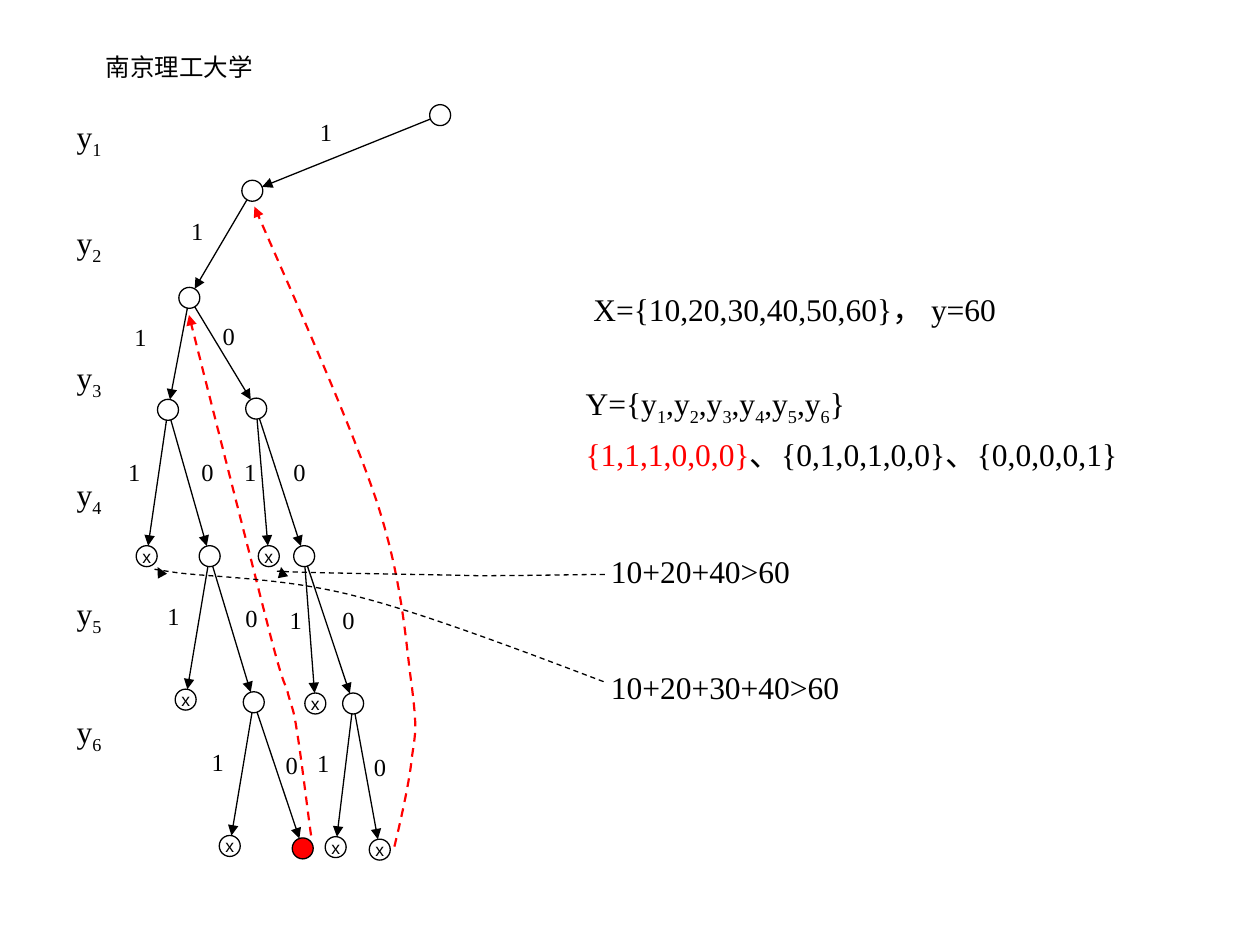
from math import hypot

from lxml import etree
from pptx import Presentation
from pptx.dml.color import RGBColor
from pptx.enum.dml import MSO_LINE
from pptx.enum.shapes import MSO_CONNECTOR, MSO_SHAPE
from pptx.enum.text import MSO_ANCHOR, MSO_AUTO_SIZE, PP_ALIGN
from pptx.oxml.ns import qn
from pptx.util import Pt

BLACK = RGBColor(0x00, 0x00, 0x00)
RED = RGBColor(0xFF, 0x00, 0x00)
CIRCLE = MSO_SHAPE.OVAL
STRAIGHT = MSO_CONNECTOR.STRAIGHT
DASH = MSO_LINE.DASH
MIDDLE = MSO_ANCHOR.MIDDLE
FIT_TEXT = MSO_AUTO_SIZE.SHAPE_TO_FIT_TEXT
CENTER = PP_ALIGN.CENTER

NODES = {
    "": (251.5, 65.8),
    "1": (144.2, 109),
    "11": (108.2, 170.2),
    "111": (96, 234.2),
    "110": (146.4, 233.5),
    "1111": (83.8, 317.8),
    "1110": (119.8, 317.8),
    "1101": (153.6, 317.8),
    "1100": (173.8, 317.8),
    "11101": (106.1, 399.8),
    "11100": (145, 401.3),
    "11001": (180.2, 402),
    "11000": (201.8, 402),
    "111001": (131.3, 483.4),
    "111000": (173, 484.8),
    "110001": (191.8, 484.1),
    "110000": (217, 485.5),
}
SOLUTION = "111000"
PRUNED = {"1111", "1101", "11101", "11001", "111001", "110001", "110000"}

BRANCH_LABELS = {
    "1": (175.7, 63.4),
    "11": (102.2, 120.2),
    "111": (69.8, 180.7),
    "110": (120.2, 180),
    "1111": (66.2, 257.8),
    "1110": (108, 257.8),
    "1101": (132.5, 257.8),
    "1100": (160.6, 257.8),
    "11101": (88.6, 339.8),
    "11100": (133.2, 341.3),
    "11001": (158.4, 342),
    "11000": (188.6, 342),
    "111001": (113.8, 423.4),
    "111000": (156.2, 424.8),
    "110001": (174.2, 424.1),
    "110000": (206.6, 426.2),
}
LEVEL_TOPS = [63.4, 123.8, 200.9, 267.8, 336.2, 403.2]

BACKTRACKS = [
    [(177.8, 477.4), (176.4, 468), (172.1, 432), (169.9, 419),
     (167.8, 405.4), (167.8, 407.5), (164.9, 397.4),
     (162.7, 388.1), (163.4, 397.4), (154.1, 361.4),
     (144.7, 324.7), (117.4, 217.4), (108, 180)],
    [(225.4, 483.8), (227.5, 475.2), (234, 447.8), (235.4, 432.7),
     (237.6, 417.6), (238.3, 416.9), (235.4, 392.4),
     (231.8, 367.9), (230.4, 332.6), (215.3, 286.6),
     (200.2, 241.2), (160.6, 153.4), (145.4, 118.1)],
]
REASON_POINTERS = [
    [(344.9, 389.5), (321.8, 380.9), (244.1, 350.6), (203, 340.6),
     (162, 329.8), (117.4, 329.8), (98.6, 326.9),
     (79.9, 324), (91.4, 324.7), (90, 324)],
    [(345.6, 328.3), (333.4, 328.3), (302.4, 329), (272.9, 329),
     (243.4, 328.3), (187.9, 327.6), (169.2, 326.9),
     (150.5, 326.2), (162, 324.7), (160.6, 324)],
]


class TreePage:
    serif = "Times New Roman"
    sans = "Arial"
    radius = 6
    line_width = 0.75

    def __init__(self, page):
        self.page = page

    def outline(self, line, color, width):
        line.color.rgb = color
        line.width = Pt(width)

    def arrowhead(self, line):
        etree.SubElement(line._get_or_add_ln(), qn("a:tailEnd"), type="triangle")

    def text(self, left, top, width, height, paragraphs, size=18,
             font=serif, wrap=True, fit=True, align=None, space=0):
        box = self.page.shapes.add_textbox(Pt(left), Pt(top), Pt(width), Pt(height))
        frame = box.text_frame
        frame.word_wrap = wrap
        if fit:
            frame.auto_size = FIT_TEXT
        for index, spans in enumerate(paragraphs):
            para = frame.add_paragraph() if index else frame.paragraphs[0]
            if index:
                para.space_before = Pt(space)
            para.alignment = align
            para.font.size = Pt(size)
            para.font.name = font
            for words, color in spans:
                self.spans(para, words, color)

    def spans(self, para, words, color):
        first, *rest = words.split("_")
        pieces = [(first, False)]
        for part in rest:
            pieces += [(part[0], True), (part[1:], False)]
        for piece, lowered in pieces:
            if piece:
                span = para.add_run()
                span.text = piece
                span.font.color.rgb = color
                if lowered:
                    span._r.get_or_add_rPr().set("baseline", "-25000")

    def node(self, center, mark="", fill=None):
        x, y = center
        size = Pt(2 * self.radius)
        circle = self.page.shapes.add_shape(
            CIRCLE, Pt(x - self.radius), Pt(y - self.radius), size, size)
        circle.shadow.inherit = False
        if fill is None:
            circle.fill.background()
        else:
            circle.fill.solid()
            circle.fill.fore_color.rgb = fill
        self.outline(circle.line, BLACK, self.line_width)
        if mark:
            frame = circle.text_frame
            frame.word_wrap = False
            frame.vertical_anchor = MIDDLE
            para = frame.paragraphs[0]
            para.text = mark
            para.alignment = CENTER
            para.font.size = Pt(10)
            para.font.name = self.sans
            para.font.color.rgb = BLACK

    def branch(self, parent, child):
        (x1, y1), (x2, y2) = parent, child
        ratio = self.radius / hypot(x2 - x1, y2 - y1)
        dx, dy = (x2 - x1) * ratio, (y2 - y1) * ratio
        arrow = self.page.shapes.add_connector(
            STRAIGHT, Pt(x1 + dx), Pt(y1 + dy), Pt(x2 - dx), Pt(y2 - dy))
        self.outline(arrow.line, BLACK, self.line_width)
        self.arrowhead(arrow.line)
        etree.SubElement(arrow._element.spPr, qn("a:effectLst"))

    def curve(self, points, color, width):
        start, *rest = [(Pt(x), Pt(y)) for x, y in points]
        builder = self.page.shapes.build_freeform(*start)
        builder.add_line_segments(rest, close=False)
        curve = builder.convert_to_shape()
        segments = list(curve._element.iter(qn("a:lnTo")))
        for index in range(0, len(segments), 3):
            bezier = etree.Element(qn("a:cubicBezTo"))
            segments[index].addprevious(bezier)
            for segment in segments[index:index + 3]:
                bezier.append(segment[0])
                segment.getparent().remove(segment)
        curve.shadow.inherit = False
        curve.fill.background()
        self.outline(curve.line, color, width)
        curve.line.dash_style = DASH
        self.arrowhead(curve.line)


def main():
    deck = Presentation()
    deck.slide_width, deck.slide_height = Pt(720), Pt(540)
    tree = TreePage(deck.slides.add_slide(deck.slide_layouts[6]))

    tree.text(-11.5, 25.9, 228.2, 37.4, [[("南京理工大学", BLACK)]], size=14,
              font=tree.sans, fit=False, align=CENTER)
    for level, top in enumerate(LEVEL_TOPS, start=1):
        tree.text(36.7, top, 28.8, 31.7, [[(f"y_{level}", BLACK)]], wrap=False)

    for choices, center in NODES.items():
        tree.node(center, "x" if choices in PRUNED else "",
                  RED if choices == SOLUTION else None)
        if choices:
            tree.branch(NODES[choices[:-1]], center)
    for choices, (left, top) in BRANCH_LABELS.items():
        tree.text(left, top, 21.6, 24.5, [[(choices[-1], BLACK)]], size=14, wrap=False)

    tree.text(332, 162, 260, 28.8, [[("X={10,20,30,40,50,60}， y=60", BLACK)]])
    tree.text(327.6, 216, 340, 58.3, [
        [("Y={y_1,y_2,y_3,y_4,y_5,y_6}", BLACK)],
        [("{1,1,1,0,0,0}", RED), ("、{0,1,0,1,0,0}、{0,0,0,0,1}", BLACK)],
    ], space=4.5)
    tree.text(342, 378, 150, 28.8, [[("10+20+30+40>60", BLACK)]])
    tree.text(342, 311.8, 122, 28.8, [[("10+20+40>60", BLACK)]])

    for points in BACKTRACKS:
        tree.curve(points, RED, 1.25)
    for points in REASON_POINTERS:
        tree.curve(points, BLACK, tree.line_width)

    deck.save("out.pptx")


if __name__ == "__main__":
    main()
